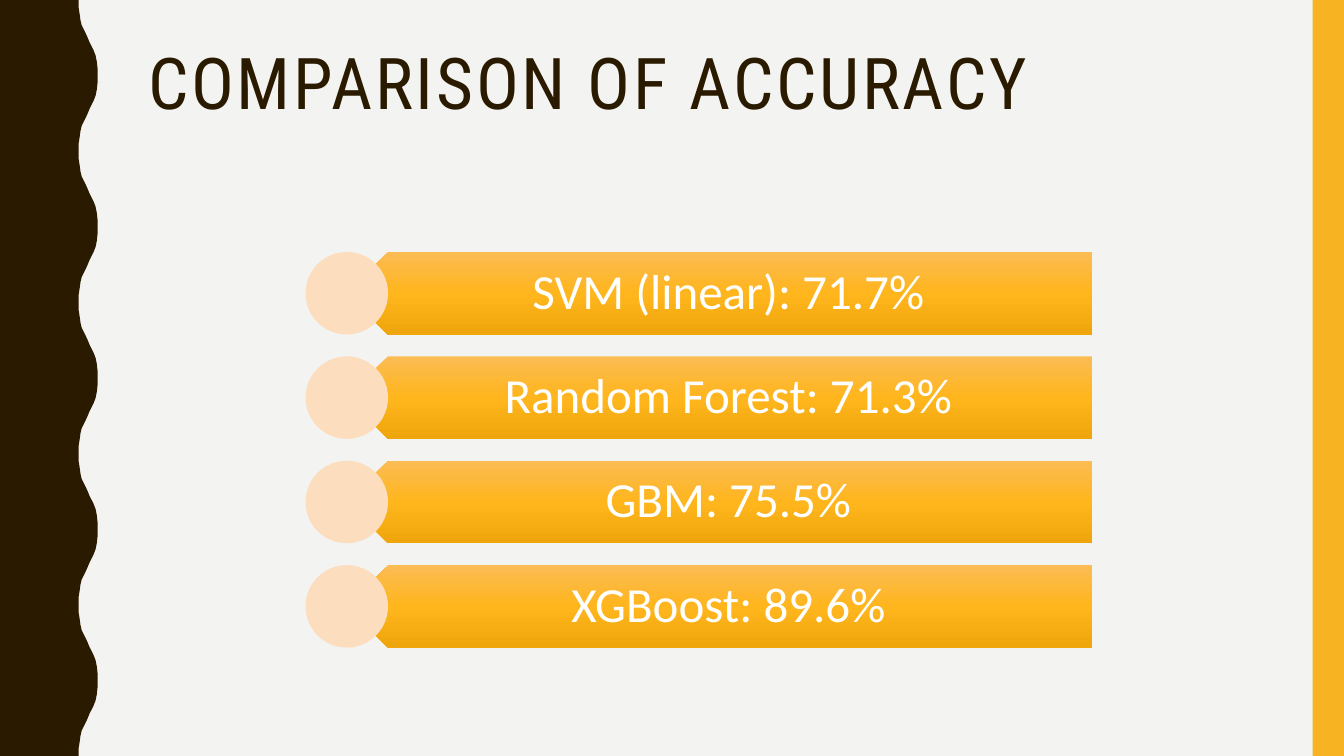
from copy import deepcopy

from pptx import Presentation
from pptx.dml.color import RGBColor
from pptx.enum import shapes, text
from pptx.util import Cm, Pt

# Content
TITLE = "COMPARISON OF ACCURACY"
ACCURACIES = [("SVM (linear)", "71.7%"), ("Random Forest", "71.3%"),
              ("GBM", "75.5%"), ("XGBoost", "89.6%")]

# Colours
PAPER, BROWN, GOLD, PEACH, WHITE = "F3F3F2", "2A1A00", "F8B323", "FCDDBD", "FFFFFF"
BAR_GRADIENT = [(0, "FBBC54"), (0.5, "FFB51C"), (1, "EFA60C")]

# Layout in centimetres
SLIDE_W, SLIDE_H = 33.87, 19.05
STRIP_W = 0.79
CIRCLE_LEFT, ROW_TOP, ROW_H, ROW_PITCH = 7.7, 6.35, 2.08, 2.63
BAR_LEFT, BAR_W = CIRCLE_LEFT + ROW_H / 2, 18.8
LABEL_INDENT = 0.5

# Half a wave of the left edge, as (x, y); the other half mirrors it
WAVE_COUNT, WAVE_H = 5, SLIDE_H / 5
HALF_WAVE = [(1.98, 0), (1.98, 0.18), (2.01, 0.36), (2.03, 0.51), (2.06, 0.64),
             (2.11, 0.74), (2.16, 0.84), (2.21, 0.95), (2.26, 1.07), (2.31, 1.17),
             (2.36, 1.27), (2.41, 1.4), (2.44, 1.55), (2.46, 1.73), (2.46, 1.9)]


def colour(hex_code):
    return RGBColor.from_string(hex_code)


def paint(shape, hex_code):
    shape.shadow.inherit = False
    shape.line.fill.background()
    shape.fill.solid()
    shape.fill.fore_color.rgb = colour(hex_code)
    return shape


def paint_gradient(shape, stops):
    shape.fill.gradient()
    last = shape.fill.gradient_stops[-1]
    first_xml = shape.fill._fill._gradFill.gsLst
    first_xml.append(deepcopy(first_xml[len(shape.fill.gradient_stops) - 1]))
    for stop, (position, hex_code) in zip(shape.fill.gradient_stops, stops):
        stop.position = position
        stop.color.rgb = colour(hex_code)
    shape.fill.gradient_angle = 270


def write(shape, words, font, size, hex_code, align=text.PP_ALIGN.LEFT,
          anchor=text.MSO_ANCHOR.TOP, insets=(0.25, 0.13, 0.25, 0.13), spacing=0):
    frame = shape.text_frame
    frame.word_wrap = True
    frame.auto_size = text.MSO_AUTO_SIZE.NONE
    frame.vertical_anchor = anchor
    (frame.margin_left, frame.margin_top,
     frame.margin_right, frame.margin_bottom) = map(Cm, insets)
    paragraph = frame.paragraphs[0]
    paragraph.alignment = align
    paragraph.line_spacing = 0.9
    run = paragraph.add_run()
    run.text = words
    run.font.name, run.font.size = font, Pt(size)
    run.font.color.rgb = colour(hex_code)
    if spacing:
        run.font._element.set("spc", str(spacing * 100))


deck = Presentation()
deck.slide_width, deck.slide_height = Cm(SLIDE_W), Cm(SLIDE_H)
slide = deck.slides.add_slide(deck.slide_layouts[5])
slide.background.fill.solid()
slide.background.fill.fore_color.rgb = colour(PAPER)


def add_preset(preset, left, top, width, height, hex_code):
    shape = slide.shapes.add_shape(preset, Cm(left), Cm(top), Cm(width), Cm(height))
    return paint(shape, hex_code)


# Wavy left edge and gold right strip
full_wave = HALF_WAVE + [(x, WAVE_H - y) for x, y in reversed(HALF_WAVE[:-1])]
edge = [(Cm(x), Cm(y + wave * WAVE_H)) for wave in range(WAVE_COUNT) for x, y in full_wave]
wavy_edge = slide.shapes.build_freeform(0, 0)
wavy_edge.add_line_segments(edge + [(0, Cm(SLIDE_H))], close=True)
paint(wavy_edge.convert_to_shape(), BROWN)
add_preset(shapes.MSO_SHAPE.RECTANGLE, SLIDE_W - STRIP_W, 0, STRIP_W, SLIDE_H, GOLD)

# Title
title = slide.shapes.title
title.left, title.top, title.width, title.height = map(Cm, (3.48, 1.07, 28.27, 4.14))
write(title, TITLE, "Roboto Condensed", 51, BROWN, spacing=2)

# One row per model: left-pointing bar, label, circle
for row, (model, accuracy) in enumerate(ACCURACIES):
    top = ROW_TOP + row * ROW_PITCH
    bar = add_preset(shapes.MSO_SHAPE.PENTAGON, BAR_LEFT, top, BAR_W, ROW_H, GOLD)
    bar._element.spPr.xfrm.set("flipH", "1")
    paint_gradient(bar, BAR_GRADIENT)
    label = slide.shapes.add_textbox(Cm(BAR_LEFT + LABEL_INDENT), Cm(top),
                                     Cm(BAR_W - LABEL_INDENT), Cm(ROW_H))
    write(label, f"{model}: {accuracy} ", "Calibri", 35, WHITE, text.PP_ALIGN.CENTER,
          text.MSO_ANCHOR.MIDDLE, (0.91, 0.38, 0.69, 0.38))
    add_preset(shapes.MSO_SHAPE.OVAL, CIRCLE_LEFT, top, ROW_H, ROW_H, PEACH)

deck.save("out.pptx")
